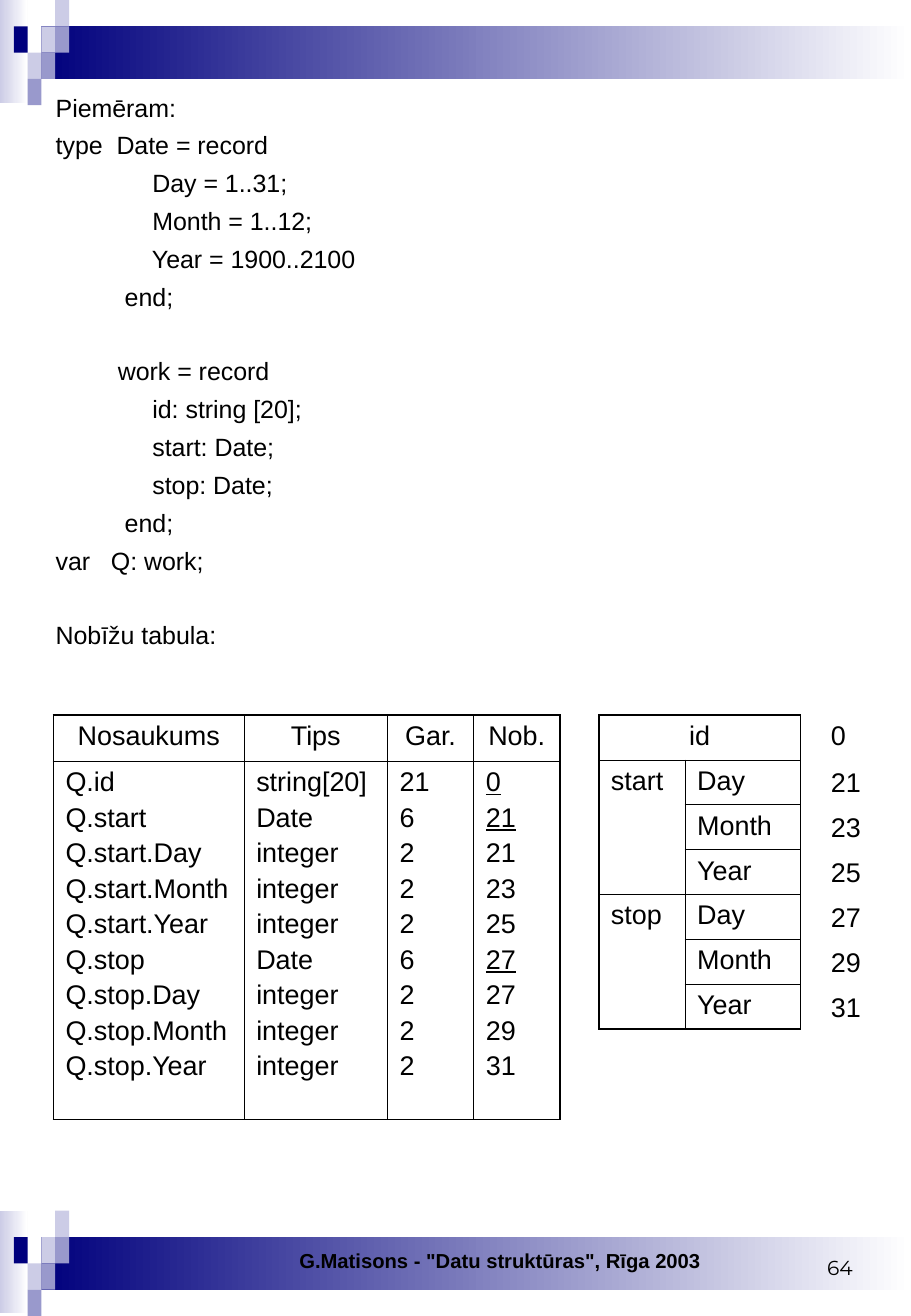
"""Build the record offset table slide as a one-page deck."""
from lxml.etree import SubElement
from pptx import Presentation
from pptx.dml.color import RGBColor
from pptx.enum.shapes import MSO_SHAPE as Shape
from pptx.enum.text import MSO_ANCHOR as Anchor, PP_ALIGN as Align
from pptx.oxml.ns import qn
from pptx.util import Inches, Pt

CODE = [
    "Piemēram:",
    "type  Date = record",
    "              Day = 1..31;",
    "              Month = 1..12;",
    "              Year = 1900..2100",
    "          end;",
    "         work = record",
    "              id: string [20];",
    "              start: Date;",
    "              stop: Date;",
    "          end;",
    "var   Q: work;",
    "Nobīžu tabula:",
]
SECTION_STARTS = {"         work = record", "Nobīžu tabula:"}
HEADINGS = ["Nosaukums", "Tips", "Gar.", "Nob."]
FIELDS = [
    ("Q.id", "string[20]", "21", "0"),
    ("Q.start", "Date", "6", "21"),
    ("Q.start.Day", "integer", "2", "21"),
    ("Q.start.Month", "integer", "2", "23"),
    ("Q.start.Year", "integer", "2", "25"),
    ("Q.stop", "Date", "6", "27"),
    ("Q.stop.Day", "integer", "2", "27"),
    ("Q.stop.Month", "integer", "2", "29"),
    ("Q.stop.Year", "integer", "2", "31"),
]
TOP_LEVEL = {"Q.id", "Q.start", "Q.stop"}
DATE_PARTS = ["Day", "Month", "Year"]
OFFSETS = ["0", "21", "23", "25", "27", "29", "31"]
FOOTER = 'G.Matisons - "Datu struktūras", Rīga 2003'
PAGE_NUMBER = "64"

COLORS = {"ink": "000000", "navy": "00007D", "mid": "9999CC",
          "pale": "CCCCE6", "white": "FFFFFF"}
WIDTH, HEIGHT = 7.5, 10.84
COLUMN, ROW = WIDTH / 66, HEIGHT / 50
BAND_ROWS = (0, 46)
FADES = [(0, 0, 2, 3.9, "pale"), (3, 1, 63, 2, "navy")]
TILES = [(3, 1, "pale"), (4, 0, "pale"), (4, 1, "mid"), (2, 2, "pale"),
         (1, 1, "navy"), (3, 2, "mid"), (2, 3, "mid")]
TABLE_TOP = 5.89
OUTER, INNER = 1.08, 0.45
PLAIN_TABLE = "{2D5ABB26-0587-4C30-8999-92F81FD0307C}"


def color(name):
    return RGBColor.from_string(COLORS[name])


def add_block(page, column, row, columns, rows):
    block = page.shapes.add_shape(
        Shape.RECTANGLE, Inches(column * COLUMN), Inches(row * ROW),
        Inches(columns * COLUMN), Inches(rows * ROW))
    block.shadow.inherit = False
    block.line.fill.background()
    return block


def add_band(page, top):
    for column, row, columns, rows, name in FADES:
        fill = add_block(page, column, top + row, columns, rows).fill
        fill.gradient()
        fill.gradient_angle = 0
        for stop, shade in zip(fill.gradient_stops, (name, "white")):
            stop.color.rgb = color(shade)
    for column, row, name in TILES:
        fill = add_block(page, column, top + row, 1, 1).fill
        fill.solid()
        fill.fore_color.rgb = color(name)


def write(frame, lines, size, align=Align.LEFT, gap=0, face="Arial", bold=False):
    for index, line in enumerate(lines):
        para = frame.paragraphs[0] if index == 0 else frame.add_paragraph()
        para.text = line
        para.alignment = align
        para.space_before = Pt(gap if index else 0)
        font = para.font
        font.name, font.size, font.bold = face, Pt(size), bold
        font.color.rgb = color("ink")
    return frame.paragraphs


def add_text(page, left, top, width, height, lines, size, anchor=Anchor.TOP, **style):
    box = page.shapes.add_textbox(Inches(left), Inches(top), Inches(width), Inches(height))
    box.text_frame.word_wrap = True
    box.text_frame.vertical_anchor = anchor
    return write(box.text_frame, lines, size, **style)


def add_grid(page, left, widths, heights):
    frame = page.shapes.add_table(
        len(heights), len(widths), Inches(left), Inches(TABLE_TOP),
        Inches(sum(widths)), Inches(sum(heights)))
    table = frame.table
    table.first_row = table.horz_banding = False
    table._tbl.tblPr.find(qn("a:tableStyleId")).text = PLAIN_TABLE
    for column, width in zip(table.columns, widths):
        column.width = Inches(width)
    for row, height in zip(table.rows, heights):
        row.height = Inches(height)
    for cell in table.iter_cells():
        cell.fill.background()
    return table


def rule_cells(table):
    last_row, last_column = len(table.rows), len(table.columns)
    for row in range(last_row):
        for column in range(last_column):
            cell = table.cell(row, column)
            if cell.is_spanned:
                continue
            right = column + (cell.span_width if cell.is_merge_origin else 1)
            bottom = row + (cell.span_height if cell.is_merge_origin else 1)
            edges = {"lnL": column == 0, "lnR": right == last_column,
                     "lnT": row == 0, "lnB": bottom == last_row}
            properties = cell._tc.get_or_add_tcPr()
            for place, (tag, outer) in enumerate(edges.items()):
                line = SubElement(properties, qn("a:" + tag), w=str(Pt(OUTER if outer else INNER)))
                fill = SubElement(line, qn("a:solidFill"))
                SubElement(fill, qn("a:srgbClr"), val=COLORS["ink"])
                properties.insert(place, line)


def add_field_table(page):
    table = add_grid(page, 0.44, [1.57, 1.18, 0.71, 0.71], [0.38, 2.95])
    for column, (heading, values) in enumerate(zip(HEADINGS, zip(*FIELDS))):
        write(table.cell(0, column).text_frame, [heading], 16, Align.CENTER)
        paras = write(table.cell(1, column).text_frame, values, 16, gap=3.3)
        if heading == "Nob.":
            for field, para in zip(FIELDS, paras):
                para.font.underline = field[0] in TOP_LEVEL
    rule_cells(table)


def add_layout_table(page):
    table = add_grid(page, 4.93, [0.71, 0.95], [0.37] * 7)
    table.cell(0, 0).merge(table.cell(0, 1))
    write(table.cell(0, 0).text_frame, ["id"], 16, Align.CENTER)
    for group, name in enumerate(["start", "stop"]):
        top = 1 + group * len(DATE_PARTS)
        table.cell(top, 0).merge(table.cell(top + 2, 0))
        write(table.cell(top, 0).text_frame, [name], 16)
        for step, part in enumerate(DATE_PARTS):
            write(table.cell(top + step, 1).text_frame, [part], 16)
    rule_cells(table)


def add_offset_table(page):
    table = add_grid(page, 6.74, [0.47], [0.39] + [0.37] * 6)
    for row, offset in enumerate(OFFSETS):
        write(table.cell(row, 0).text_frame, [offset], 16)


def main():
    deck = Presentation()
    deck.slide_width, deck.slide_height = Inches(WIDTH), Inches(HEIGHT)
    page = deck.slides.add_slide(deck.slide_layouts[6])
    for top in BAND_ROWS:
        add_band(page, top)
    for para in add_text(page, 0.36, 0.71, 6.69, 4.73, CODE, 14.8, align=Align.JUSTIFY, gap=4.7):
        if para.text in SECTION_STARTS:
            para.space_before = Pt(26.4)
    add_field_table(page)
    add_layout_table(page)
    add_offset_table(page)
    add_text(page, 0.91, 10.22, 4.96, 0.31, [FOOTER], 12, Anchor.BOTTOM, align=Align.RIGHT, bold=True)
    add_text(page, 5.95, 10.22, 1.17, 0.37, [PAGE_NUMBER], 12, Anchor.BOTTOM,
             align=Align.RIGHT, face="Montserrat")
    deck.save("out.pptx")


if __name__ == "__main__":
    main()
